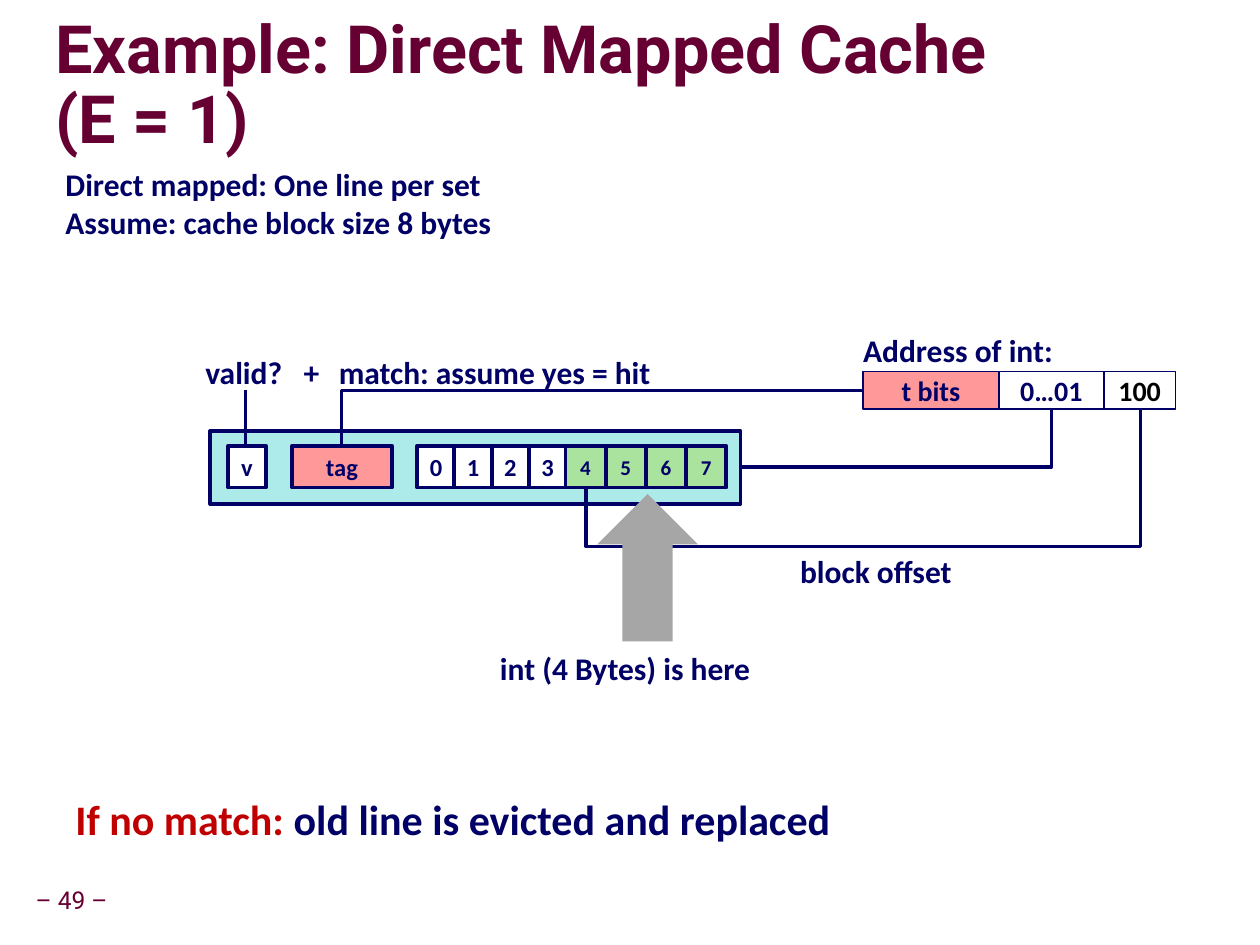
from lxml.etree import SubElement, fromstring
from pptx import Presentation
from pptx.dml.color import RGBColor as Rgb
from pptx.enum.shapes import MSO_CONNECTOR as Conn, MSO_SHAPE as Kind
from pptx.enum.text import MSO_ANCHOR as Anchor, MSO_AUTO_SIZE as Fit, PP_ALIGN as Align
from pptx.oxml.ns import nsdecls, qn
from pptx.util import Cm, Pt

NAVY, WINE, RED, BLACK = "000066", "660033", "C00000", "000000"
PINK, AQUA, GREEN, WHITE, GRAY = "FF9999", "ADEBEB", "A9E39D", "FFFFFF", "A6A6A6"
SHADOW = (
    f'<a:effectLst {nsdecls("a")}><a:outerShdw blurRad="38100" dist="38100" dir="2700000">'
    '<a:srgbClr val="C0C0C0"/></a:outerShdw></a:effectLst>'
)


def tint(color, code):
    color.rgb = Rgb.from_string(code)


def style(font, size, code=NAVY, **extra):
    look = {"name": "Calibri", "size": Pt(size), "bold": True, **extra}
    for key, value in look.items():
        setattr(font, key, value)
    tint(font.color, code)


def place(item, box):
    for key, value in zip(("left", "top", "width", "height"), box):
        setattr(item, key, Cm(value))


def head(slide, text):
    """Two-line title with a soft text shadow."""
    title = slide.shapes.title
    place(title, (1.12, 0.69, 24.21, 2.16))
    frame = title.text_frame
    look = {"margin_left": 0, "margin_right": 0, "margin_top": 0, "margin_bottom": 0,
            "vertical_anchor": Anchor.MIDDLE, "auto_size": Fit.NONE, "word_wrap": True}
    for key, value in look.items():
        setattr(frame, key, value)
    frame.text = text
    para = frame.paragraphs[0]
    para.alignment, para.line_spacing = Align.LEFT, 0.87
    for run in para.runs:
        style(run.font, 38, WINE, name="Roboto")
        fill = run.font.color and run._r.rPr.find(qn("a:solidFill"))
        fill.addnext(fromstring(SHADOW))


def label(slide, box, lines, size=18, **extra):
    """Text box; each line is a list of (text, colour) runs."""
    item = slide.shapes.add_textbox(*map(Cm, box))
    frame = item.text_frame
    frame.word_wrap, frame.auto_size = False, Fit.SHAPE_TO_FIT_TEXT
    for num, runs in enumerate(lines):
        para = frame.add_paragraph() if num else frame.paragraphs[0]
        for text, code in runs:
            run = para.add_run()
            run.text = text
            style(run.font, size, code, **extra)
    return frame


def block(shapes, box, fill, text="", size=14, code=NAVY, line=2.25, kind=Kind.RECTANGLE):
    """Filled shape with centred text; line 0 means no outline."""
    item = shapes.add_shape(kind, *map(Cm, box))
    item.shadow.inherit = False
    item.fill.solid()
    tint(item.fill.fore_color, fill)
    if line:
        item.line.width = Pt(line)
        tint(item.line.color, NAVY)
    else:
        item.line.fill.background()
    if text:
        frame = item.text_frame
        frame.margin_left = frame.margin_right = 0
        frame.vertical_anchor = Anchor.MIDDLE
        para = frame.paragraphs[0]
        para.alignment = Align.CENTER
        run = para.add_run()
        run.text = text
        style(run.font, size, code)


def wire(slide, box, kind="line", turn=0, flip=False, bend=None):
    """Connector; box is its frame before it is turned."""
    item = slide.shapes.add_connector(Conn.STRAIGHT, 0, 0, 0, 0)
    place(item, box)
    item.line.width = Pt(2)
    tint(item.line.color, NAVY)
    props = item._element.spPr
    SubElement(props, qn("a:effectLst"))
    xfrm = props.find(qn("a:xfrm"))
    xfrm.set("rot", str(turn * 60000))
    xfrm.set("flipV", str(int(flip)))
    geom = props.find(qn("a:prstGeom"))
    geom.set("prst", kind)
    if bend:
        guides = geom.find(qn("a:avLst"))
        if guides is None:
            guides = SubElement(geom, qn("a:avLst"))
        SubElement(guides, qn("a:gd"), name="adj1", fmla=f"val {round(bend * 100000)}")


def cache(slide):
    """Cache line: valid bit, tag and eight bytes."""
    shapes = slide.shapes.add_group_shape().shapes
    top, high = 8.99, 0.84
    block(shapes, (4.24, 8.69, 10.69, 1.47), AQUA)
    block(shapes, (4.6, top, 0.76, high), WHITE, "v")
    block(shapes, (5.89, top, 2.01, high), PINK, "tag")
    for num in range(4):
        block(shapes, (8.41 + num * 0.75, top, 0.76, high), WHITE, str(num))
    for num in range(4):
        block(shapes, (11.4 + num * 0.81, top, 0.81, high), GREEN, str(num + 4), 12)


def address(slide):
    left = 17.4
    for wide, fill, text, code in ((2.74, PINK, "t bits", NAVY),
                                   (2.11, WHITE, "0…01", NAVY),
                                   (1.45, WHITE, "100", BLACK)):
        block(slide.shapes, (left, 7.49, wide, 0.76), fill, text, 16, code, 1)
        left += wide


def main():
    deck = Presentation()
    deck.slide_width, deck.slide_height = Cm(25.4), Cm(19.05)
    slide = deck.slides.add_slide(deck.slide_layouts[5])

    # Title, intro and page number
    head(slide, "Example: Direct Mapped Cache \v(E = 1)")
    label(slide, (1.07, 3.2, 9.17, 1.8), [[("Direct mapped: One line per set", NAVY)],
                                          [("Assume: cache block size 8 bytes", NAVY)]])
    page = label(slide, (0.58, 17.78, 1.73, 0.81), [[("– 49 –", WINE)]], 14,
                 name="Roboto", bold=False)
    for side in ("left", "right", "top", "bottom"):
        setattr(page, f"margin_{side}", Cm(0.13))
    page.vertical_anchor = Anchor.MIDDLE
    page.paragraphs[0].alignment = Align.CENTER
    page.paragraphs[0].line_spacing = 0.9

    # Address and cache line
    address(slide)
    cache(slide)

    # Wires: set index, tag match, valid bit, block offset
    wire(slide, (17.48, 5.69, 1.17, 6.27), "bentConnector2", 90)
    wire(slide, (6.88, 7.87, 10.52, 1.12), "bentConnector2", 180, True)
    wire(slide, (4.95, 7.87, 0, 1.12))
    wire(slide, (16.61, 3.45, 1.58, 11.18), "bentConnector3", 90, bend=1.75)

    # Arrow to the int
    block(slide.shapes, (12.04, 9.96, 2.03, 2.97), GRAY, line=0, kind=Kind.UP_ARROW)

    # Labels
    for left, top, wide, text in ((17.15, 6.55, 4.37, "Address of int:"),
                                  (6.58, 6.99, 6.86, "match: assume yes = hit"),
                                  (3.89, 6.99, 2.84, "valid?   +"),
                                  (15.88, 11, 3.61, "block offset"),
                                  (9.83, 12.95, 5.61, "int (4 Bytes) is here")):
        label(slide, (left, top, wide, 1.02), [[(text, NAVY)]])
    label(slide, (1.27, 15.88, 16.48, 1.27),
          [[("If no match: ", RED), ("old line is evicted and replaced", NAVY)]], 24)

    deck.save("out.pptx")


if __name__ == "__main__":
    main()
